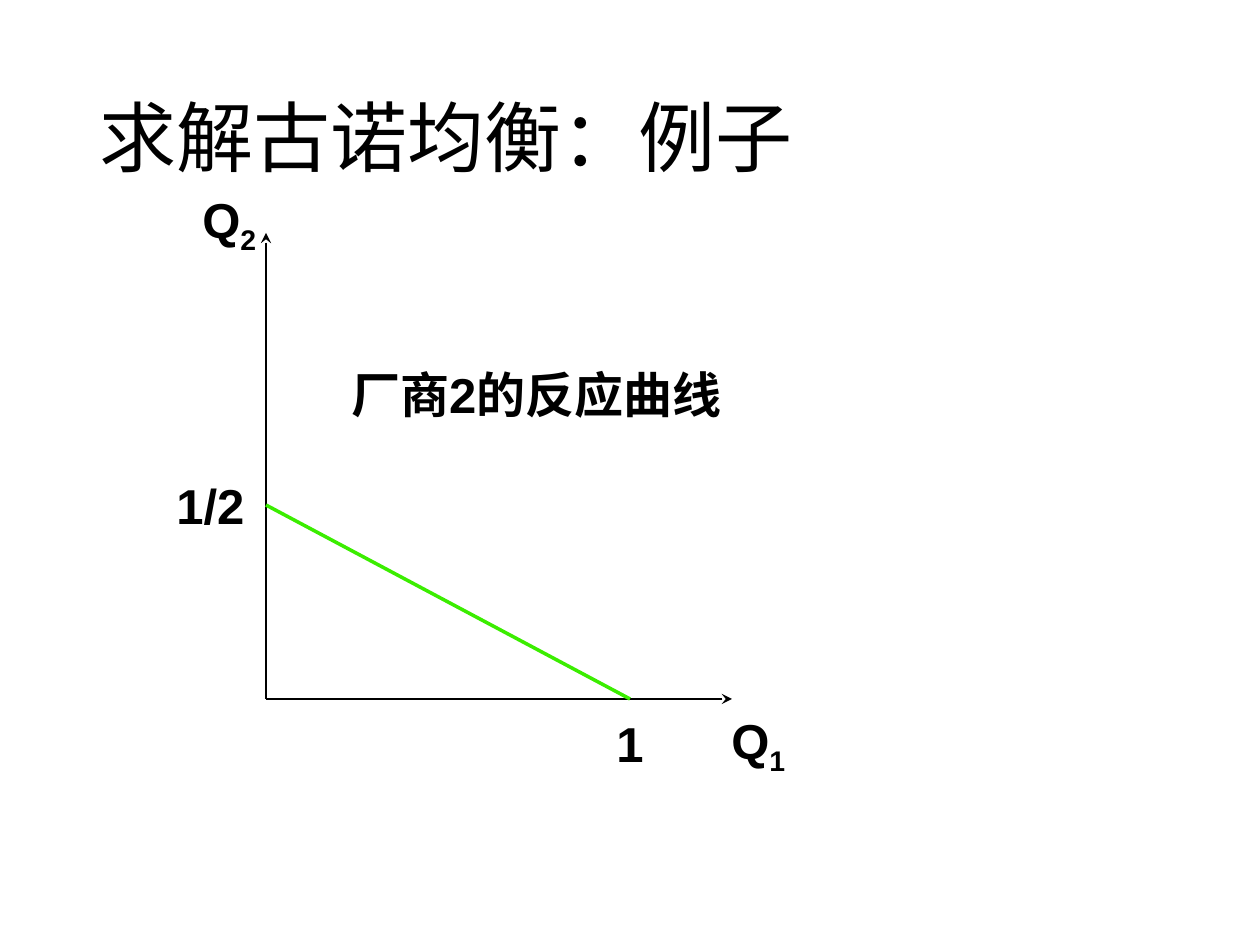
from lxml import etree
from pptx import Presentation
from pptx import util as u
from pptx.dml.color import RGBColor
from pptx.enum import shapes, text
from pptx.oxml import ns

SCALE = 914400 / 126


def px(*lengths):
    return [u.Emu(round(n * SCALE)) for n in lengths]


def add_text(words, at, sub="", size=28, font="Arial", color="000000", bold=True,
             wrap=False, anchor=text.MSO_ANCHOR.TOP, spacing=1.0):
    frame = slide.shapes.add_textbox(*px(*at)).text_frame
    frame.word_wrap = wrap
    frame.vertical_anchor = anchor
    paragraph = frame.paragraphs[0]
    paragraph.line_spacing = spacing
    for part, baseline in ((words, None), (sub, "-25000")):
        if not part:
            continue
        run = paragraph.add_run()
        run.text = part
        run.font.size = u.Pt(size)
        run.font.name = font
        run.font.bold = bold
        run.font.color.rgb = RGBColor.from_string(color)
        if baseline:
            run.font._element.set("baseline", baseline)


deck = Presentation()
deck.slide_width, deck.slide_height = px(1260, 945)
slide = deck.slides.add_slide(deck.slide_layouts[6])

add_text("求解古诺均衡：例子", (87, 50, 1086, 183), size=44, font="Calibri",
         bold=False, wrap=True, anchor=text.MSO_ANCHOR.MIDDLE, spacing=0.9)

origin_x, origin_y = 266, 699
quantity_2_axis = (origin_x, 233, origin_x, origin_y)
quantity_1_axis = (732, origin_y, origin_x, origin_y)
reaction_curve = (origin_x, 505, 630, origin_y)

for ends, color, weight, arrow in (
    (quantity_2_axis, "000000", 1, True),
    (quantity_1_axis, "000000", 1, True),
    (reaction_curve, "3BED00", 2, False),
):
    line = slide.shapes.add_connector(shapes.MSO_CONNECTOR.STRAIGHT, *px(*ends))
    line.line.color.rgb = RGBColor.from_string(color)
    line.line.width = u.Pt(weight)
    if arrow:
        etree.SubElement(line.line._get_or_add_ln(), ns.qn("a:headEnd"), type="stealth")
    etree.SubElement(line._element.spPr, ns.qn("a:effectLst"))

add_text("Q", (190, 183, 82, 72), sub="2")
add_text("Q", (719, 704, 82, 72), sub="1")
add_text("厂商2的反应曲线", (339, 358, 401, 72), wrap=True)
add_text("1/2", (164, 469, 95, 72))
add_text("1", (604, 707, 53, 72))

deck.save("out.pptx")
